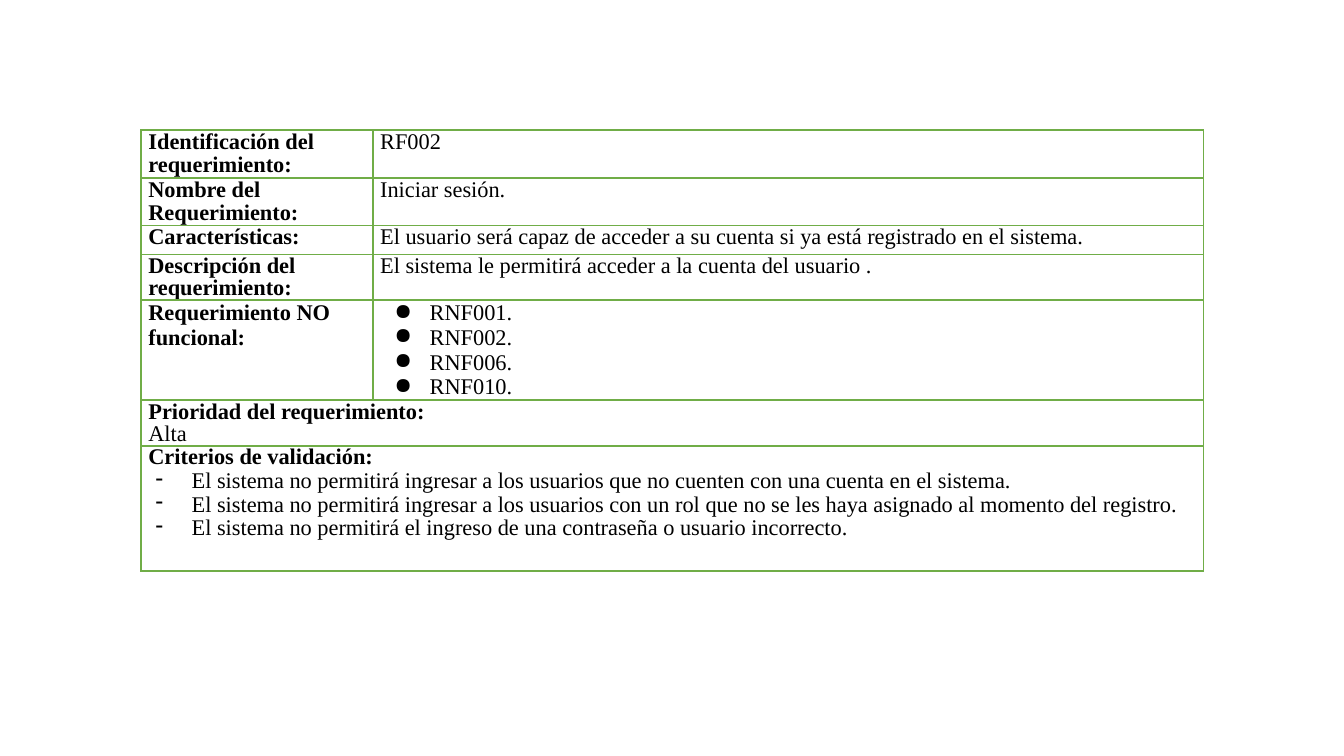
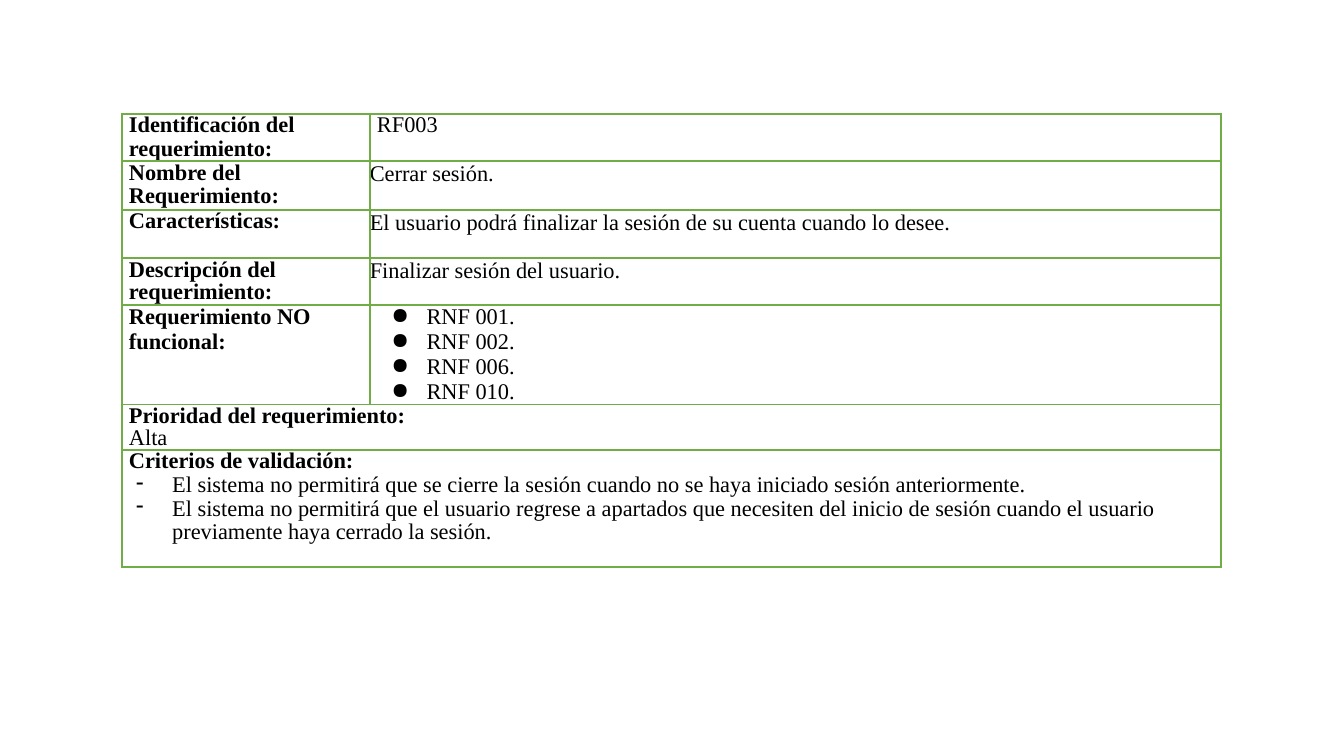
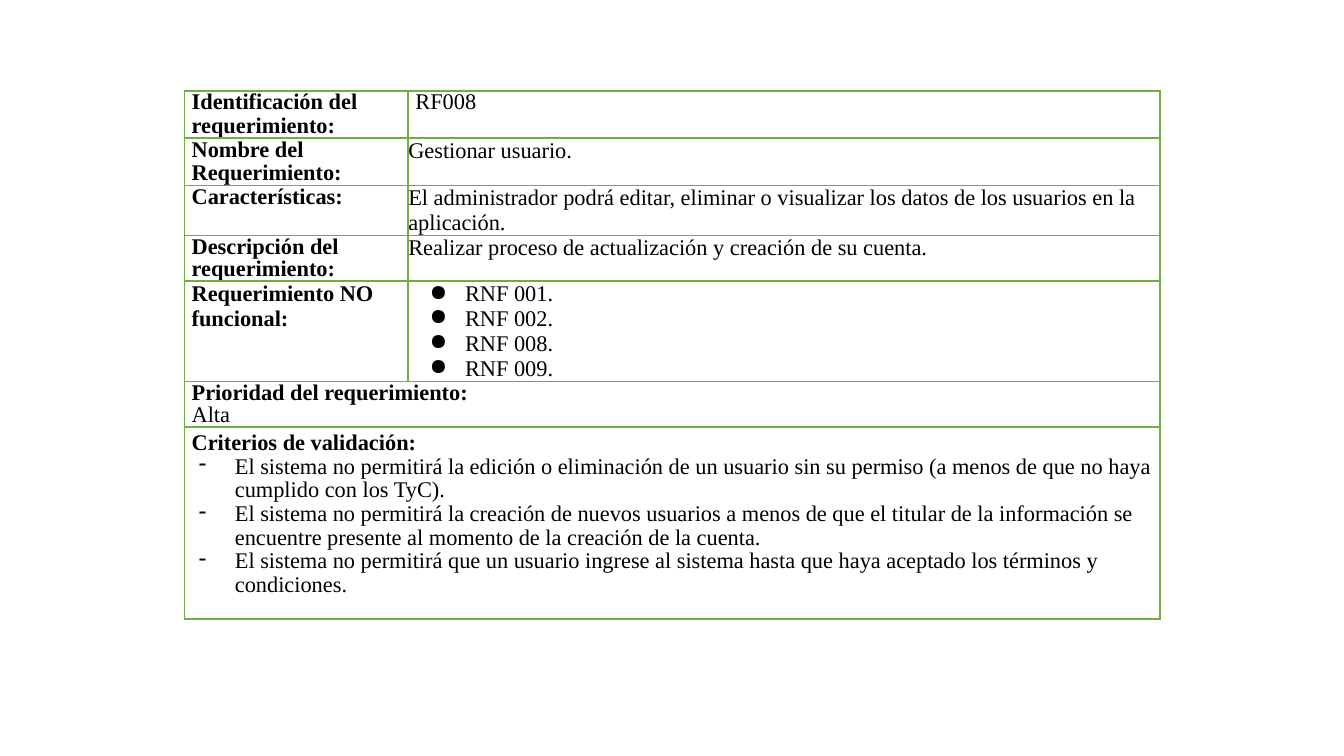
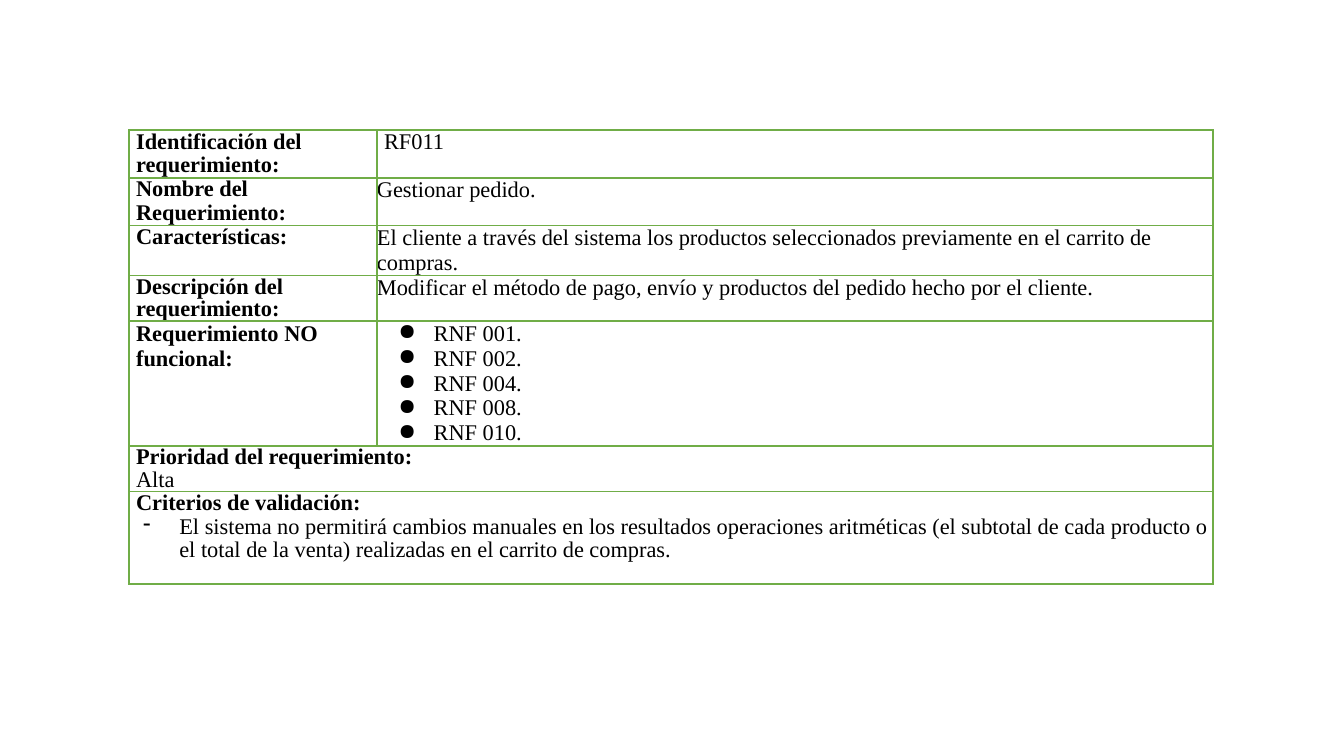
from typing import NamedTuple

from lxml.etree import SubElement as Sub
from pptx import Presentation
from pptx.dml.color import RGBColor as Rgb
from pptx.oxml.ns import qn
from pptx.util import Cm, Pt

FONT = "Times New Roman"
SIZE = 16
INK = "000000"
GREEN = "70AD47"
PAD = 0.18
LABELS = (
    ["Identificación del requerimiento:"],
    ["Nombre del Requerimiento:"],
    ["Características:"],
    ["Descripción del", "requerimiento:"],
    ["Requerimiento NO funcional:"],
)


class Sheet(NamedTuple):
    """One requirement and the layout of its table."""
    left: float
    top: float
    cols: tuple
    rows: tuple
    facts: tuple
    needs: tuple
    rules: tuple
    pad: float = 0
    lead: float = 1
    head: float = 0.95


SHEETS = (
    Sheet(
        3.56, 3.28, (5.84, 20.93), (1.21, 1.18, 0.73, 1.13, 2.52, 1.13, 3.15),
        ("RF002", "Iniciar sesión.",
         "El usuario será capaz de acceder a su cuenta si ya está registrado en el sistema.",
         "El sistema le permitirá acceder a la cuenta del usuario ."),
        ("RNF001.", "RNF002.", "RNF006.", "RNF010."),
        ("El sistema no permitirá ingresar a los usuarios que no cuenten con una cuenta en el sistema.",
         "El sistema no permitirá ingresar a los usuarios con un rol que no se les haya asignado"
         " al momento del registro.",
         "El sistema no permitirá el ingreso de una contraseña o usuario incorrecto."),
        pad=PAD, lead=0.95),
    Sheet(
        3.07, 2.87, (6.25, 21.44), (1.18, 1.23, 1.21, 1.18, 2.51, 1.15, 2.95),
        ("RF003", "Cerrar sesión.",
         "El usuario podrá finalizar la sesión de su cuenta cuando lo desee.",
         "Finalizar sesión del usuario."),
        ("RNF 001.", "RNF 002.", "RNF 006.", "RNF 010."),
        ("El sistema no permitirá que se cierre la sesión cuando no se haya iniciado sesión anteriormente.",
         "El sistema no permitirá que el usuario regrese a apartados que necesiten del inicio de sesión"
         " cuando el usuario previamente haya cerrado la sesión.")),
    Sheet(
        4.65, 2.29, (5.64, 18.95), (1.18, 1.18, 1.26, 1.13, 2.52, 1.13, 4.84),
        ("RF008", "Gestionar usuario.",
         "El administrador podrá editar, eliminar o visualizar los datos de los usuarios en la aplicación.",
         "Realizar proceso de actualización y creación de su cuenta."),
        ("RNF 001.", "RNF 002.", "RNF 008.", "RNF 009."),
        ("El sistema no permitirá la edición o eliminación de un usuario sin su permiso"
         " (a menos de que no haya cumplido con los TyC).",
         "El sistema no permitirá la creación de nuevos usuarios a menos de que el titular de la información"
         " se encuentre presente al momento de la creación de la cuenta.",
         "El sistema no permitirá que un usuario ingrese al sistema hasta que haya aceptado"
         " los términos y condiciones."),
        head=1.14),
    Sheet(
        3.25, 3.28, (6.25, 21.08), (1.2, 1.2, 1.26, 1.13, 3.14, 1.15, 2.34),
        ("RF011", "Gestionar pedido.",
         "El cliente a través del sistema los productos seleccionados previamente en el carrito de compras.",
         "Modificar el método de pago, envío y productos del pedido hecho por el cliente."),
        ("RNF 001.", "RNF 002.", "RNF 004.", "RNF 008.", "RNF 010."),
        ("El sistema no permitirá cambios manuales en los resultados operaciones aritméticas"
         " (el subtotal de cada producto o el total de la venta) realizadas en el carrito de compras.",)),
)


def paint(color, tone):
    """Set a colour from a hex string."""
    color.rgb = Rgb.from_string(tone)


def frame(cell):
    """Give a cell green borders, no fill and no margins."""
    props = cell._tc.get_or_add_tcPr()
    for side in ("lnL", "lnR", "lnT", "lnB"):
        line = Sub(props, qn(f"a:{side}"), w=str(Pt(1.5)))
        fill = Sub(line, qn("a:solidFill"))
        Sub(fill, qn("a:srgbClr"), val=GREEN)
    cell.fill.background()
    cell.margin_left = cell.margin_right = 0
    cell.margin_top = cell.margin_bottom = 0


def write(cell, text, bold=False, pad=PAD, lead=0.95, mark=None, hang=0):
    """Add one paragraph to a cell, with a hanging bullet if marked."""
    body = cell.text_frame
    para = body.paragraphs[0] if not body.text else body.add_paragraph()
    para.line_spacing = lead
    props = para._p.get_or_add_pPr()
    props.set("marL", str(Cm(pad)))
    props.set("indent", str(Cm(-hang)))
    if mark:
        tint = Sub(props, qn("a:buClr"))
        Sub(tint, qn("a:srgbClr"), val=INK)
        Sub(props, qn("a:buChar"), char=mark)
    run = para.add_run()
    run.text = text
    font = run.font
    font.name, font.size, font.bold = FONT, Pt(SIZE), bold
    paint(font.color, INK)


def label(cell, lines, lead=0.95):
    """Write a bold label, its second line set tighter."""
    for i, line in enumerate(lines):
        write(cell, line, True, lead=0.89 if i else lead)


def grid(slide, sheet):
    """Add the empty framed table and return it."""
    rows, cols = sheet.rows, sheet.cols
    table = slide.shapes.add_table(
        len(rows), len(cols), Cm(sheet.left), Cm(sheet.top),
        Cm(sum(cols)), Cm(sum(rows))).table
    table.first_row = table.horz_banding = False
    for col, width in zip(table.columns, cols):
        col.width = Cm(width)
    for row, height in zip(table.rows, rows):
        row.height = Cm(height)
    for cell in table.iter_cells():
        frame(cell)
    for i in range(len(LABELS), len(rows)):
        table.cell(i, 0).merge(table.cell(i, 1))
    return table


def fill(table, sheet):
    """Write the requirement into its table."""
    last = len(LABELS) - 1
    for i, lines in enumerate(LABELS):
        label(table.cell(i, 0), lines, 1 if i == last else 0.95)
    for i, fact in enumerate(sheet.facts):
        pad, lead = (sheet.pad, sheet.lead) if i else (PAD, 0.95)
        write(table.cell(i, 1), fact, pad=pad, lead=lead)
    for need in sheet.needs:
        write(table.cell(last, 1), need, pad=1.43, lead=1, mark="●", hang=0.89)
    rank, tests = table.cell(last + 1, 0), table.cell(last + 2, 0)
    label(rank, ["Prioridad del requerimiento:"])
    write(rank, "Alta", lead=0.88)
    label(tests, ["Criterios de validación:"], sheet.head)
    for rule in sheet.rules:
        write(tests, rule, pad=1.27, mark="-", hang=0.91)


def main():
    """Build and save the deck."""
    deck = Presentation()
    deck.slide_width, deck.slide_height = Cm(33.87), Cm(19.05)
    for sheet in SHEETS:
        slide = deck.slides.add_slide(deck.slide_layouts[6])
        fill(grid(slide, sheet), sheet)
    deck.save("out.pptx")


if __name__ == "__main__":
    main()
